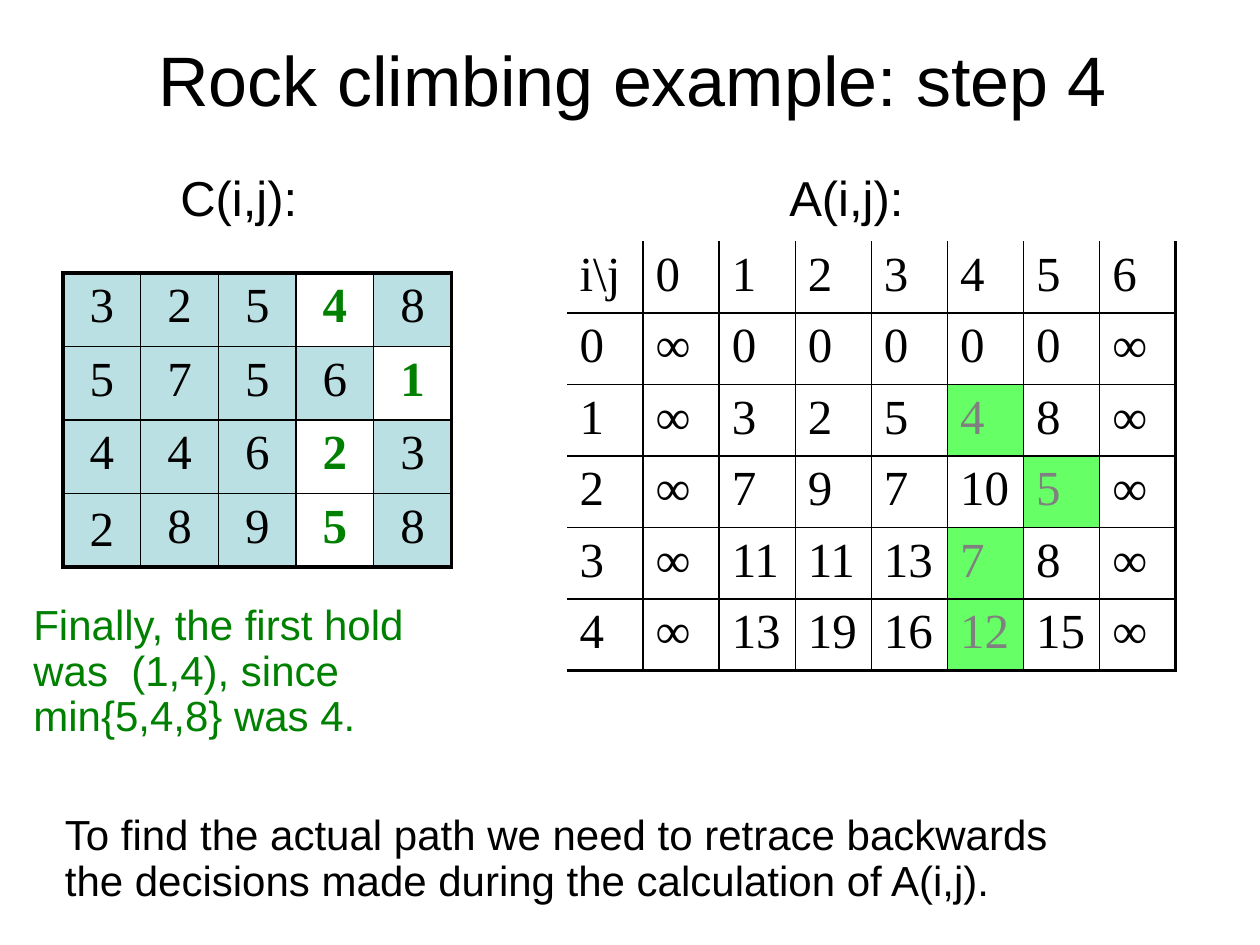
from lxml.etree import SubElement
from pptx import Presentation
from pptx.dml.color import RGBColor
from pptx.enum.text import MSO_ANCHOR, PP_ALIGN
from pptx.oxml.ns import qn
from pptx.util import Inches, Pt

BLACK = RGBColor(0x00, 0x00, 0x00)
WHITE = RGBColor(0xFF, 0xFF, 0xFF)
GREEN = RGBColor(0x00, 0x80, 0x00)
GREY = RGBColor(0x80, 0x80, 0x80)
TEAL = RGBColor(0xBB, 0xE0, 0xE3)
LIME = RGBColor(0x66, 0xFF, 0x66)

UNIT = Inches(1) / 12  # the slide is a grid of 120 columns by 90 rows
THIN, THICK = 1, 2.25

COSTS = ["3 2 5 4 8", "5 7 5 6 1", "4 4 6 2 3", "2 8 9 5 8"]
SUMS = [
    "i\\j 0 1 2 3 4 5 6",
    "0 ∞ 0 0 0 0 0 ∞",
    "1 ∞ 3 2 5 4 8 ∞",
    "2 ∞ 7 9 7 10 5 ∞",
    "3 ∞ 11 11 13 7 8 ∞",
    "4 ∞ 13 19 16 12 15 ∞",
]
HOLDS = [(1, 4), (2, 5), (3, 4), (4, 4)]  # the path, as (i, j)


def grid(*cells):
    return [round(n * UNIT) for n in cells]


def add_text(slide, box, lines, size, color=BLACK, wrap=True,
             align=PP_ALIGN.LEFT, anchor=MSO_ANCHOR.TOP, pitch=0.9):
    frame = slide.shapes.add_textbox(*grid(*box)).text_frame
    frame.word_wrap = wrap
    frame.vertical_anchor = anchor
    frame.text = "\n".join(lines)
    for para in frame.paragraphs:
        para.alignment = align
        para.line_spacing = pitch
        style(para.font, "Arial", size, color)


def style(font, name, size, color, bold=False):
    font.name = name
    font.size = Pt(size)
    font.bold = bold
    font.color.rgb = color


def set_edges(cell, widths):
    """Draw left, right, top and bottom edges; a width of 0 hides one."""
    props = cell._tc.get_or_add_tcPr()
    for spot, (side, width) in enumerate(zip("LRTB", widths)):
        line = SubElement(props, qn(f"a:ln{side}"), w=str(int(Pt(width))))
        if width:
            fill = SubElement(line, qn("a:solidFill"))
            SubElement(fill, qn("a:srgbClr"), val=str(BLACK))
        else:
            SubElement(line, qn("a:noFill"))
        props.insert(spot, line)


def add_matrix(slide, box, data, first, back, mark, ink, bold, align, start):
    """Place a table.

    first is the table row and column where i = 1 and j = 1;
    start is the width of the left and top edges.
    """
    rows = [line.split() for line in data]
    high, wide = len(rows), len(rows[0])
    path = [(first[0] + i - 1, first[1] + j - 1) for i, j in HOLDS]
    table = slide.shapes.add_table(high, wide, *grid(*box)).table
    table.first_row = table.horz_banding = False
    for r, row in enumerate(rows):
        for c, value in enumerate(row):
            cell = table.cell(r, c)
            held = (r, c) in path
            fill = mark if held else back
            if fill is None:
                cell.fill.background()
            else:
                cell.fill.solid()
                cell.fill.fore_color.rgb = fill
            set_edges(cell, (
                THIN if c else start,
                THIN if c < wide - 1 else THICK,
                THIN if r else start,
                THIN if r < high - 1 else THICK,
            ))
            cell.text = value
            para = cell.text_frame.paragraphs[0]
            para.alignment = align
            style(para.font, "Times New Roman", 28,
                  ink if held else BLACK, held and bold)
    return table


def add_costs(slide, left, top):
    add_text(slide, (left + 10, top, 13.7, 6.2), ["C(i,j):"], 28, wrap=False)
    table = add_matrix(slide, (left, top + 10, 37, 28), COSTS, (0, 0),
                       TEAL, WHITE, GREEN, True, PP_ALIGN.CENTER, THICK)
    table.cell(3, 0).vertical_anchor = MSO_ANCHOR.MIDDLE


def add_sums(slide, left, top):
    add_text(slide, (left + 20, top, 13.9, 6.2), ["A(i,j):"], 28, wrap=False)
    add_matrix(slide, (left, top + 7, 58, 40.8), SUMS, (2, 2),
               None, LIME, GREY, False, PP_ALIGN.LEFT, 0)


def add_notes(slide):
    add_text(slide, (2, 57, 49, 14.2),
             ["Finally, the first hold", "was  (1,4), since",
              "min{5,4,8} was 4."], 24, GREEN)
    add_text(slide, (5, 77, 105, 9.8),
             ["To find the actual path we need to retrace backwards",
              "the decisions made during the calculation of A(i,j)."], 24)


def main():
    deck = Presentation()
    deck.slide_width, deck.slide_height = grid(120, 90)
    slide = deck.slides.add_slide(deck.slide_layouts[6])
    add_text(slide, (9.25, 0, 102, 15), ["Rock climbing example: step 4"], 40,
             align=PP_ALIGN.CENTER, anchor=MSO_ANCHOR.MIDDLE, pitch=1.0)
    add_costs(slide, 6, 16)
    add_sums(slide, 54, 16)
    add_notes(slide)
    deck.save("out.pptx")


if __name__ == "__main__":
    main()
